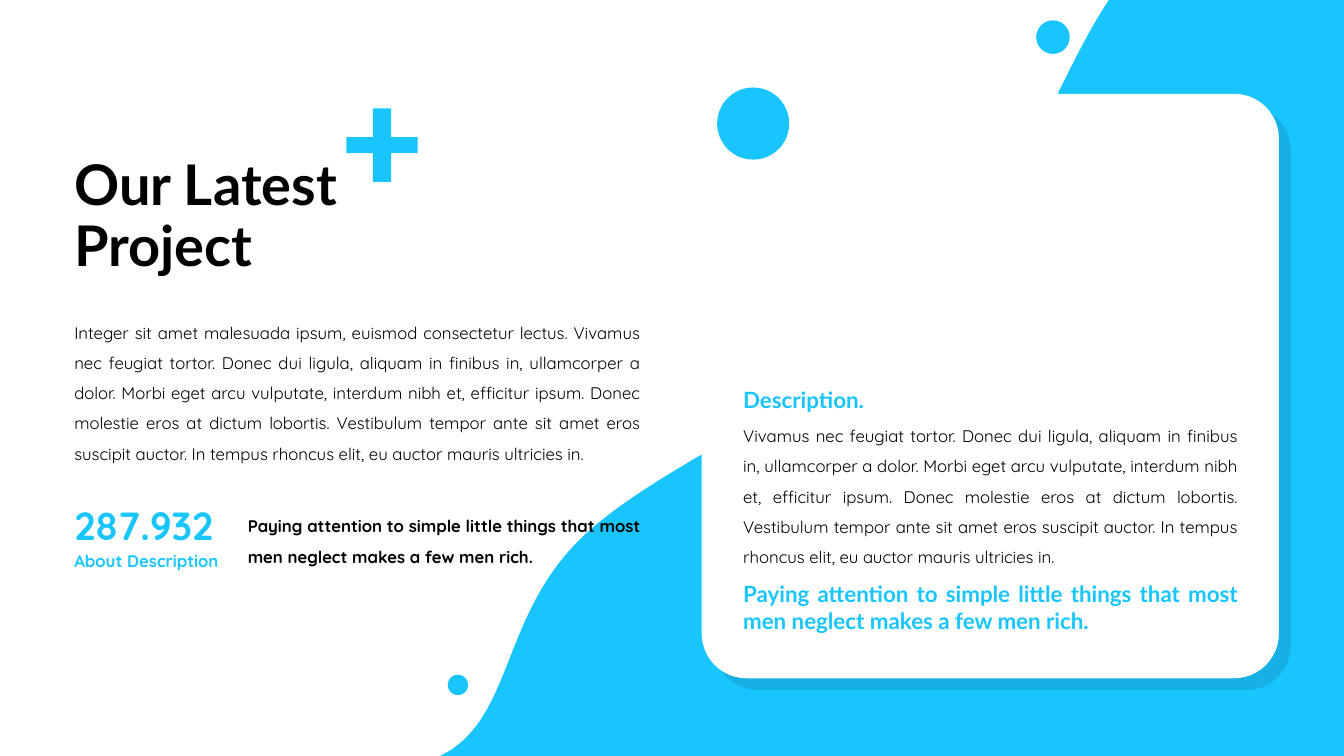
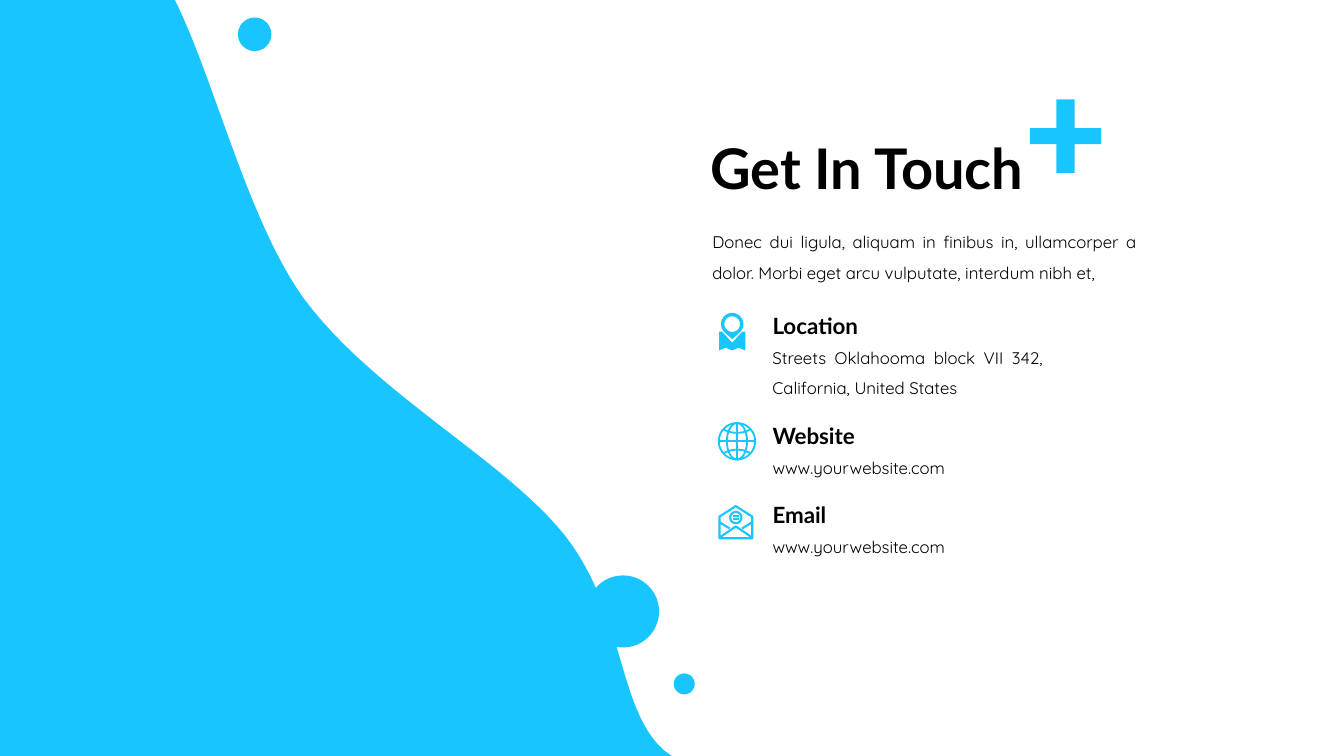
import math

import lxml.etree
import pptx
import pptx.dml.color
import pptx.enum.shapes
import pptx.enum.text
import pptx.oxml.ns
import pptx.util

Pt = pptx.util.Pt
Anchor = pptx.enum.text.MSO_ANCHOR
Align = pptx.enum.text.PP_ALIGN
Shape = pptx.enum.shapes.MSO_SHAPE

WIDTH, HEIGHT = 960.5, 540
CYAN, BLACK, WHITE = "19C5FF", "000000", "FFFFFF"
TITLE_ONLY = 5

# font, size, bold, line spacing
TITLE = ("Lato", 40, True, 0.9)
HEADING = ("Lato", 16, True, 1)
LABEL = ("Lato", 16, True, 1.5)
BODY = ("Quicksand", 12, False, 1.5)
STRONG = ("Quicksand", 12, True, 1.5)
CAPTION = ("Quicksand", 12, True, 1)
FIGURE = ("Quicksand", 28, True, 1)

# Wave edge: x as a share of its width, y in points; six numbers make a curve
WAVE_EDGE = [
    (0, 0),
    (0.08, 57, 0.145, 156, 0.258, 212.5),
    (0.4, 281, 0.663, 328, 0.785, 382.5),
    (0.905, 436.5, 0.89, 505.5, 0.983, 535.5),
    (1, HEIGHT),
]

LOREM = (
    "Donec dui ligula, aliquam in finibus in, ullamcorper a dolor. "
    "Morbi eget arcu vulputate, interdum nibh et, "
)
LOREM_END = (
    "efficitur ipsum. Donec molestie eros at dictum lobortis. Vestibulum tempor "
    "ante sit amet eros suscipit auctor. In tempus rhoncus elit, eu auctor mauris "
    "ultricies in."
)
QUOTE = (
    "Paying attention to simple little things that most men neglect "
    "makes a few men rich."
)


def rgb(value):
    return pptx.dml.color.RGBColor.from_string(value)


def paint(shape, fill=None, line=None, weight=1.5):
    shape.shadow.inherit = False
    if fill:
        shape.fill.solid()
        shape.fill.fore_color.rgb = rgb(fill)
    else:
        shape.fill.background()
    if line:
        shape.line.color.rgb = rgb(line)
        shape.line.width = Pt(weight)
    else:
        shape.line.fill.background()


def flatten(segments, steps=24):
    """Turn points and cubic curves into a list of points."""
    points = [segments[0]]
    for segment in segments[1:]:
        if len(segment) == 2:
            points.append(segment)
            continue
        x0, y0 = points[-1]
        x1, y1, x2, y2, x3, y3 = segment
        for step in range(1, steps + 1):
            t = step / steps
            a, b, c, d = (1 - t) ** 3, 3 * t * (1 - t) ** 2, 3 * t * t * (1 - t), t ** 3
            points.append((a * x0 + b * x1 + c * x2 + d * x3,
                           a * y0 + b * y1 + c * y2 + d * y3))
    return points


def arc(x, y, radius_x, radius_y, start=0, end=360, steps=48):
    angles = [math.radians(start + (end - start) * i / steps) for i in range(steps + 1)]
    return [(x + radius_x * math.cos(a), y + radius_y * math.sin(a)) for a in angles]


def draw(page, left, top, contours, **colours):
    """Draw contours, given relative to left and top, as one freeform."""
    builder = None
    for contour in contours:
        points = [(Pt(round(left + x, 2)), Pt(round(top + y, 2))) for x, y in contour]
        if builder is None:
            builder = page.shapes.build_freeform(*points[0], scale=1.0)
        else:
            builder.move_to(*points[0])
        closed = "fill" in colours or points[0] == points[-1]
        builder.add_line_segments(points[1:], close=closed)
    paint(builder.convert_to_shape(), **colours)


def place(shape, left, top, width, height):
    shape.left, shape.top = Pt(left), Pt(top)
    shape.width, shape.height = Pt(width), Pt(height)


def set_text(shape, text, style, colour, align, anchor):
    font, size, bold, spacing = style
    frame = shape.text_frame
    frame.word_wrap = True
    frame.auto_size = pptx.enum.text.MSO_AUTO_SIZE.NONE
    frame.vertical_anchor = anchor
    para = frame.paragraphs[0]
    para.text = text
    para.alignment = align
    para.line_spacing = spacing
    para.font.name = font
    para.font.size = Pt(size)
    para.font.bold = bold
    para.font.color.rgb = rgb(colour)


def write(page, box, text, style, colour=BLACK, anchor=Anchor.TOP):
    shape = page.shapes.add_textbox(*map(Pt, box))
    set_text(shape, text, style, colour, Align.JUSTIFY, anchor)


def add_page(deck, title, box):
    page = deck.slides.add_slide(deck.slide_layouts[TITLE_ONLY])
    place(page.shapes.title, *box)
    set_text(page.shapes.title, title, TITLE, BLACK, Align.LEFT, Anchor.MIDDLE)
    return page


def wave(page, top_x, bottom_x, side_x):
    """Fill from the curved edge to the slide side at side_x."""
    edge = [(top_x + (bottom_x - top_x) * x, y) for x, y in flatten(WAVE_EDGE)]
    draw(page, 0, 0, [edge + [(side_x, HEIGHT), (side_x, 0)]], fill=CYAN)


def plus(page, left, top):
    x0, x1, x2, x3 = 0, 19, 32, 51
    y0, y1, y2, y3 = 0, 20.5, 32, 52.5
    outline = [(x1, y0), (x2, y0), (x2, y1), (x3, y1), (x3, y2), (x2, y2),
               (x2, y3), (x1, y3), (x1, y2), (x0, y2), (x0, y1), (x1, y1)]
    draw(page, left, top, [outline], fill=CYAN)


def dot(page, left, top, diameter):
    shape = page.shapes.add_shape(Shape.OVAL, *map(Pt, (left, top, diameter, diameter)))
    paint(shape, fill=CYAN)


def card(page, left, top, width, height, radius=32):
    shape = page.shapes.add_shape(
        Shape.ROUNDED_RECTANGLE, *map(Pt, (left, top, width, height)))
    shape.adjustments[0] = radius / min(width, height)
    paint(shape, fill=WHITE)
    qn = pptx.oxml.ns.qn
    effects = shape.element.spPr.find(qn("a:effectLst"))
    shadow = lxml.etree.SubElement(
        effects, qn("a:outerShdw"), blurRad="0", dist=str(Pt(12.1)),
        dir="2700000", algn="tl", rotWithShape="0")
    tint = lxml.etree.SubElement(shadow, qn("a:srgbClr"), val=BLACK)
    lxml.etree.SubElement(tint, qn("a:alpha"), val="10000")

    inner_left, inner_width = left + 22.5, width - 44.5
    write(page, (inner_left, top + 205, inner_width, 27), "Description.",
          HEADING, CYAN, Anchor.MIDDLE)
    write(page, (inner_left, top + 226.5, inner_width, 115),
          "Vivamus nec feugiat tortor. " + LOREM + LOREM_END, BODY)
    write(page, (inner_left, top + 344, inner_width, 46), QUOTE, HEADING, CYAN)


def statistic(page, left, top):
    write(page, (left, top, 165.5, 41), "287.932", FIGURE, CYAN, Anchor.MIDDLE)
    write(page, (left, top + 35.5, 124, 21.5), "About Description",
          CAPTION, CYAN, Anchor.MIDDLE)
    write(page, (left + 124, top + 3.5, 295, 50.5), QUOTE, STRONG)


def pin_icon(page, left, top):
    middle = 10.3
    pin = arc(middle, 8, 8, 8, 135, 405) + [(middle, 18.8)]
    hole = arc(middle, 8, 5.6, 5.6)
    half = [(9.35, 13.4), (7.2, 13.4), (0, 21.3)]
    folds = [(4.7, 24.9), (9.35, 26.8)]
    sheet = ([(middle - x, y) for x, y in half] + [(middle + x, y) for x, y in half[1::-1]]
             + [(middle + x, y) for x, y in folds[::-1]] + [(middle, 26.8)]
             + [(middle - x, y) for x, y in folds])
    draw(page, left, top, [pin, hole], fill=CYAN)
    draw(page, left, top, [sheet], fill=CYAN)


def globe_icon(page, left, top):
    x, y, radius = 13.7, 12.7, 13
    latitudes = [
        flatten([(x - 9.5, y + side * 8.5),
                 (x - 4, y + side * 5.2, x + 4, y + side * 5.2, x + 9.5, y + side * 8.5)])
        for side in (-1, 1)
    ]
    draw(page, left, top, [
        arc(x, y, radius, radius),
        arc(x, y, 7.2, radius),
        [(x - radius, y), (x + radius, y)],
        [(x, y - radius), (x, y + radius)],
        *latitudes,
    ], line=CYAN, weight=1.3)


def envelope_icon(page, left, top):
    x0, middle, x1 = 1.2, 12.9, 24.6
    draw(page, left, top, [
        [(x0, 10.5), (middle, 3), (x1, 10.5), (x1, 26), (x0, 26), (x0, 10.5)],
        [(x0, 14.5), (8.5, 19)],
        [(x1, 14.5), (17.3, 19)],
        [(x0, 25.5), (middle, 17.5), (x1, 25.5)],
        arc(middle, 11.2, 4, 4),
        [(11, 10), (14.8, 10)],
        [(11, 12.3), (14.8, 12.3)],
    ], line=CYAN, weight=1.5)


def contact(page, left, top, icon, label, detail, detail_size):
    icon(page, left, top + 14)
    write(page, (left + 32, top, 187, 36), label, LABEL)
    write(page, (left + 32, top + 28, *detail_size), detail, BODY)


def project_page(deck):
    page = add_page(deck, "Our Latest Project", (46, 103.5, 320, 104.5))
    wave(page, 792.5, 314.5, WIDTH)
    plus(page, 247.5, 77.5)
    card(page, 501.5, 67, 412.5, 417.5)
    write(page, (46, 219.5, 419, 115),
          "Integer sit amet malesuada ipsum, euismod consectetur lectus. "
          "Vivamus nec feugiat tortor. " + LOREM + LOREM_END, BODY)
    statistic(page, 46, 354.5)
    for spot in [(740.5, 14.5, 24), (320, 482, 14.5), (512.5, 62.5, 51.5)]:
        dot(page, *spot)


def contact_page(deck):
    page = add_page(deck, "Get In Touch", (500.5, 70.5, 366.5, 104.5))
    wave(page, 125, 480, 0)
    plus(page, 736, 71)
    write(page, (502, 155, 317.5, 50.5), LOREM.strip(), BODY)
    site = "www.yourwebsite.com"
    for top, icon, label, detail, size in [
        (209.5, pin_icon, "Location",
         "Streets Oklahooma block VII 342, California, United States", (207.5, 50.5)),
        (288.5, globe_icon, "Website", site, (187, 29)),
        (344.5, envelope_icon, "Email", site, (187, 29)),
    ]:
        contact(page, 513, top, icon, label, detail, size)
    for spot in [(170, 12.5, 24), (481.5, 481, 15), (419.5, 411, 51.5)]:
        dot(page, *spot)


def main():
    deck = pptx.Presentation()
    deck.slide_width, deck.slide_height = Pt(WIDTH), Pt(HEIGHT)
    project_page(deck)
    contact_page(deck)
    deck.save("out.pptx")


if __name__ == "__main__":
    main()
